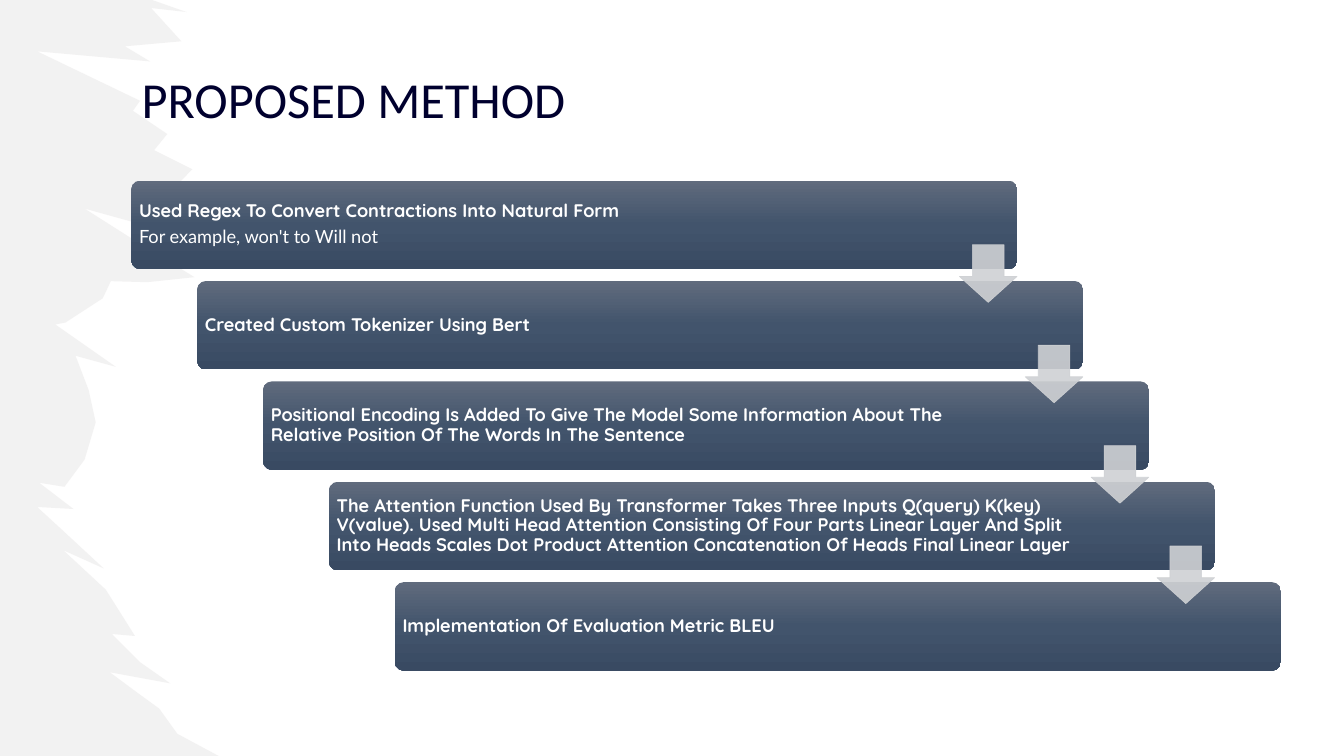
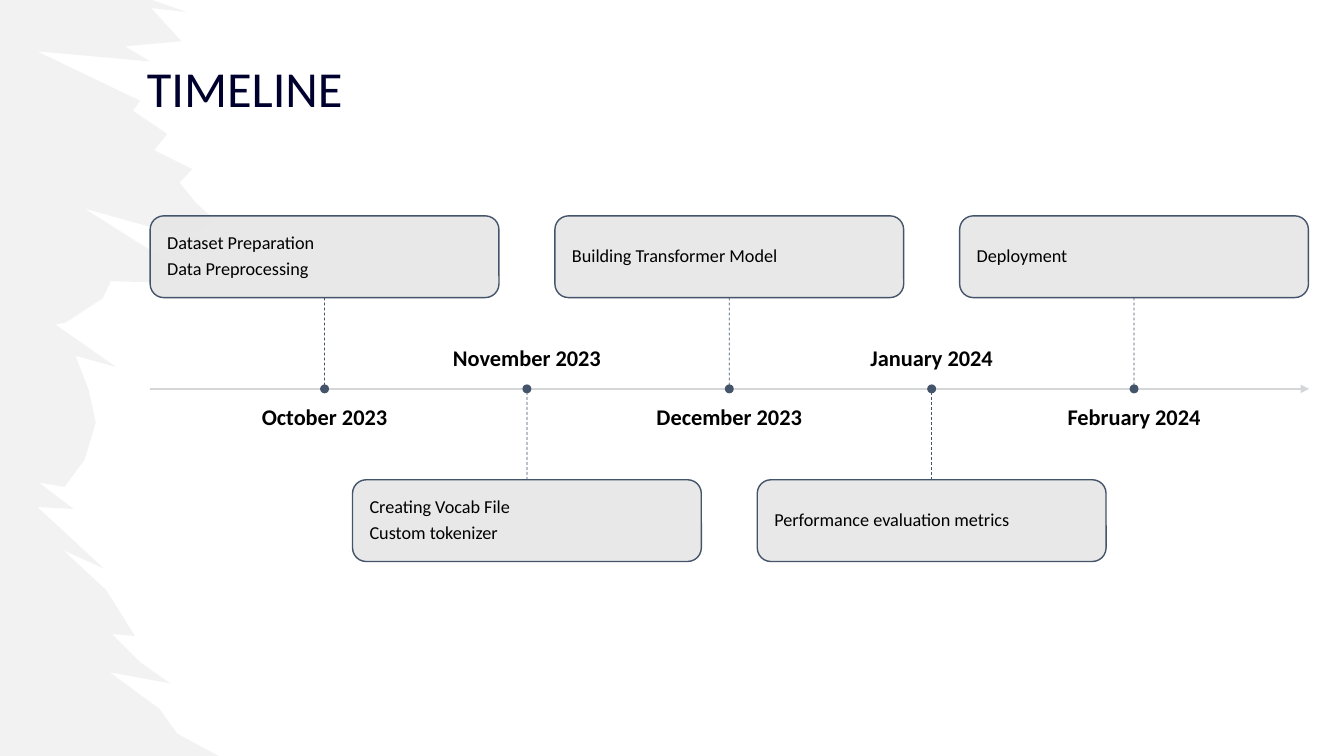
from lxml.etree import SubElement
from copy import deepcopy
from pptx import Presentation
from pptx.dml.color import RGBColor
from pptx.enum.dml import MSO_LINE
from pptx.enum.shapes import MSO_CONNECTOR, MSO_SHAPE
from pptx.enum.text import MSO_ANCHOR as ANCHOR, PP_ALIGN as ALIGN
from pptx.oxml.ns import qn
from pptx.util import Cm, Pt

COLORS = {
    "brush": "E7E6E6", "title": "00002E", "text": "000000", "white": "FFFFFF",
    "arrow": "CFD1D4", "axis": "D4D6D8", "slate": "44546A", "panel": "E7E6E6",
    "step_top": "606B7D", "step_middle": "42546C", "step_bottom": "394A62",
}

# Ragged right edge of the brush stroke, top to bottom, in 1/100 inch
BRUSH_EDGE = [
    (151, 0), (185, 12), (150, 8), (180, 41), (124, 46), (149, 61), (37, 51),
    (139, 100), (132, 110), (166, 133), (153, 149), (191, 168), (178, 181),
    (195, 202), (212, 217), (197, 230), (171, 227), (210, 242), (84, 207),
    (136, 240), (193, 275), (146, 280), (110, 279), (102, 296), (65, 320),
    (55, 322), (115, 364), (75, 353), (88, 387), (95, 419), (84, 456),
    (64, 483), (39, 479), (73, 505), (37, 503), (62, 526), (103, 564),
    (63, 546), (105, 585), (134, 631), (111, 629), (139, 657), (169, 678),
    (109, 667), (136, 687), (158, 703), (176, 728), (217, 750), (0, 750),
]


def paint(shape, fill, line=None, weight=1, alphas=(100, 100)):
    """Set flat fill and outline; alphas are the opacity of each in percent."""
    shape.shadow.inherit = False
    for target, name in ((shape.fill, fill), (shape.line.fill, line)):
        if name:
            target.solid()
            target.fore_color.rgb = RGBColor.from_string(COLORS[name])
        else:
            target.background()
    if line:
        shape.line.width = Pt(weight)
    for color, alpha in zip(list(shape._element.spPr.iter(qn("a:srgbClr"))), alphas):
        SubElement(color, qn("a:alpha"), val=str(alpha * 1000))


def write(shape, lines, size, color, margins, align=ALIGN.LEFT,
          anchor=ANCHOR.MIDDLE, spacing=0.9):
    """Fill a shape with (text, font, bold) lines; margins are left, top, right, bottom."""
    frame = shape.text_frame
    frame.word_wrap = True
    frame.vertical_anchor = anchor
    (frame.margin_left, frame.margin_top,
     frame.margin_right, frame.margin_bottom) = map(Cm, margins)
    for index, (text, font, bold) in enumerate(lines):
        para = frame.add_paragraph() if index else frame.paragraphs[0]
        para.alignment = align
        para.line_spacing = spacing
        para.space_after = Pt(size * 0.35)
        span = para.add_run()
        span.text = text
        span.font.name = font
        span.font.size = Pt(size)
        span.font.bold = bold
        span.font.color.rgb = RGBColor.from_string(COLORS[color])


deck = Presentation()
deck.slide_width, deck.slide_height = Cm(33.87), Cm(19.05)

# Shared brush edge and title
pages = []
for title, left, top in (("PROPOSED METHOD", 2.74, 1.17), ("TIMELINE", 0, 0.91)):
    page = deck.slides.add_slide(deck.slide_layouts[6])
    builder = page.shapes.build_freeform(0, 0, scale=Cm(2.54) / 100)
    builder.add_line_segments(BRUSH_EDGE, close=True)
    paint(builder.convert_to_shape(), "brush", alphas=(50,))
    box = page.shapes.add_textbox(Cm(left), Cm(top), Cm(12.34), Cm(1.93))
    write(box, [(title, "Calibri", False)], 36, "title", (0.25, 0.13, 0.25, 0.13),
          ALIGN.CENTER, ANCHOR.TOP, Pt(54.7))
    pages.append(page)
method_page, timeline_page = pages

# Staircase of method steps
STEP_LEFT, STEP_TOP, STEP_RIGHTWARD, STEP_DOWN = 3.31, 4.55, 1.66, 2.53
ARROW_SIZE = 1.45
steps = [
    ["Used Regex To Convert Contractions Into Natural Form",
     "For example, won't to Will not"],
    ["Created Custom Tokenizer Using Bert"],
    ["Positional Encoding Is Added To Give The Model Some Information About The "
     "Relative Position Of The Words In The Sentence"],
    ["The Attention Function Used By Transformer Takes Three Inputs Q(query) K(key) "
     "V(value). Used Multi Head Attention Consisting Of Four Parts Linear Layer And Split "
     "Into Heads Scales Dot Product Attention Concatenation Of Heads Final Linear Layer"],
    ["Implementation Of Evaluation Metric BLEU"],
]
for index, (heading, *details) in enumerate(steps):
    box = method_page.shapes.add_shape(
        MSO_SHAPE.ROUNDED_RECTANGLE, Cm(STEP_LEFT + index * STEP_RIGHTWARD),
        Cm(STEP_TOP + index * STEP_DOWN), Cm(22.33), Cm(2.23))
    box.adjustments[0] = 0.1
    paint(box, "step_middle")
    box.fill.gradient()
    box.fill.gradient_angle = 270
    stop_list = box._element.spPr.find(qn("a:gradFill")).find(qn("a:gsLst"))
    stop_list.append(deepcopy(stop_list[0]))
    for stop, position, name in zip(box.fill.gradient_stops, (0, 0.5, 1),
                                    ("step_top", "step_middle", "step_bottom")):
        stop.position = position
        stop.color.rgb = RGBColor.from_string(COLORS[name])
    lines = [(heading, "Quicksand", True)] + [(text, "Lato", False) for text in details]
    write(box, lines, 13, "white", (0.13, 0.13, 3.26, 0.13))

for index in range(len(steps) - 1):
    arrow = method_page.shapes.add_shape(
        MSO_SHAPE.DOWN_ARROW, Cm(STEP_LEFT + 20.87 + index * STEP_RIGHTWARD),
        Cm(STEP_TOP + 1.62 + index * STEP_DOWN), Cm(ARROW_SIZE), Cm(ARROW_SIZE))
    arrow.adjustments[0], arrow.adjustments[1] = 0.55, 0.45
    paint(arrow, "arrow", "arrow", 0.5, (90, 90))

# Timeline: panels alternate above and below the axis
AXIS_Y, MONTH_LEFT, MONTH_STEP = 9.8, 8.18, 5.1
PANEL_WIDTH, PANEL_HEIGHT = 8.79, 2.06
LABEL_WIDTH, LABEL_HEIGHT, DOT = 7.72, 1.37, 0.19
months = [
    ("October 2023", ["Dataset Preparation", "Data Preprocessing"]),
    ("November 2023", ["Creating Vocab File", "Custom tokenizer"]),
    ("December 2023", ["Building Transformer Model"]),
    ("January 2024", ["Performance evaluation metrics"]),
    ("February 2024", ["Deployment"]),
]
shapes = timeline_page.shapes
axis = shapes.add_connector(MSO_CONNECTOR.STRAIGHT, Cm(3.78), Cm(AXIS_Y),
                            Cm(32.99), Cm(AXIS_Y))
connectors = [(axis, "axis", 1)]
for index, (month, tasks) in enumerate(months):
    center = MONTH_LEFT + index * MONTH_STEP
    if index % 2 == 0:
        panel_top, panel_side, label_top, label_anchor = 5.44, 2, 10.24, ANCHOR.TOP
    else:
        panel_top, panel_side, label_top, label_anchor = 12.09, 0, 7.98, ANCHOR.BOTTOM

    panel = shapes.add_shape(
        MSO_SHAPE.ROUNDED_RECTANGLE, Cm(center - PANEL_WIDTH / 2), Cm(panel_top),
        Cm(PANEL_WIDTH), Cm(PANEL_HEIGHT))
    paint(panel, "panel", "slate", 1, (90, 100))
    write(panel, [(task, "Calibri", False) for task in tasks], 13, "text", (0.33,) * 4)

    label = shapes.add_textbox(Cm(center - LABEL_WIDTH / 2), Cm(label_top),
                               Cm(LABEL_WIDTH), Cm(LABEL_HEIGHT))
    write(label, [(month, "Calibri", True)], 16, "text", (0,) * 4,
          ALIGN.CENTER, label_anchor)

    stem = shapes.add_connector(MSO_CONNECTOR.STRAIGHT, Cm(center), Cm(panel_top),
                                Cm(center), Cm(AXIS_Y))
    stem.begin_connect(panel, panel_side)
    stem.line.dash_style = MSO_LINE.DASH
    connectors.append((stem, "slate", 0.5))

    dot = shapes.add_shape(MSO_SHAPE.OVAL, Cm(center - DOT / 2), Cm(AXIS_Y - DOT / 2),
                           Cm(DOT), Cm(DOT))
    paint(dot, "slate", "slate")

for connector, name, weight in connectors:
    connector.line.color.rgb = RGBColor.from_string(COLORS[name])
    connector.line.width = Pt(weight)
    SubElement(connector._element.spPr, qn("a:effectLst"))
SubElement(axis.line._get_or_add_ln(), qn("a:tailEnd"), type="triangle")

deck.save("out.pptx")
